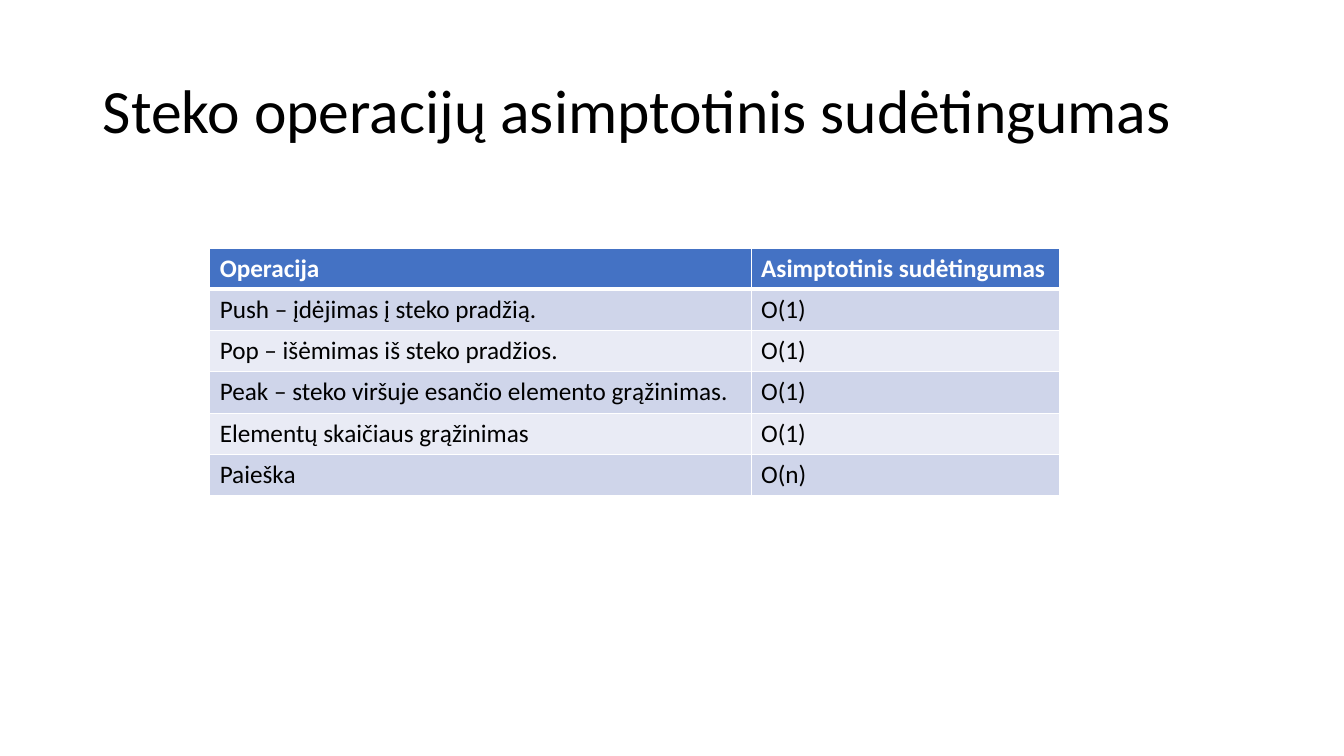
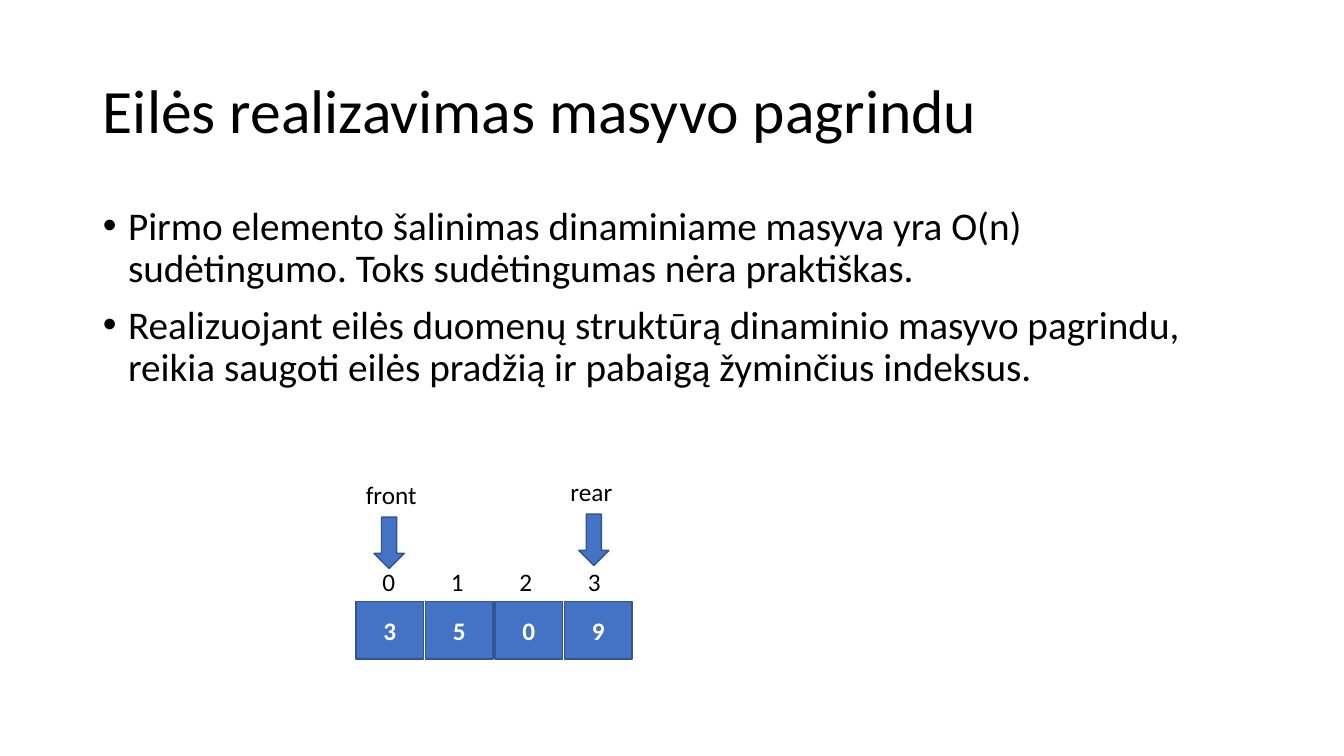
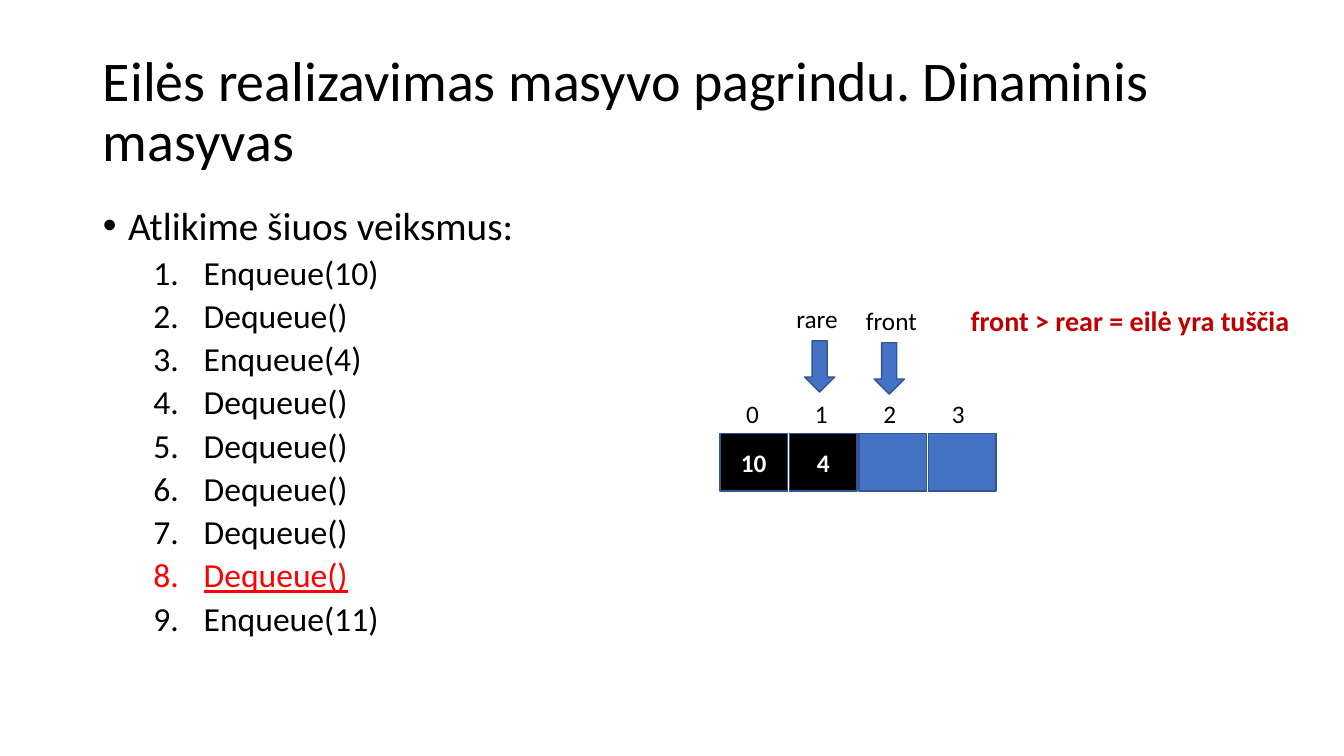
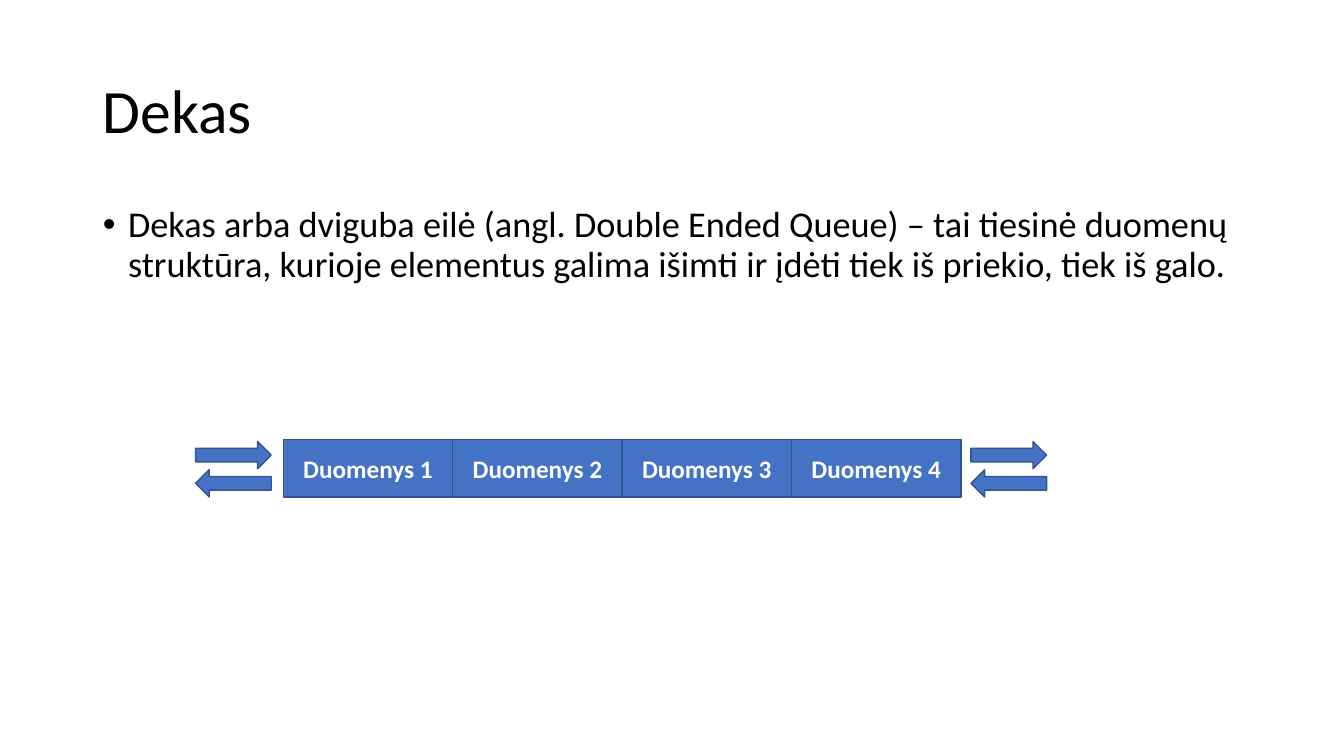
from lxml import etree
from pptx import Presentation
from pptx import util as u
from pptx.dml.color import RGBColor
from pptx.enum import shapes, text
from pptx.oxml import ns

SHAPE = shapes.MSO_SHAPE
ALIGN = text.PP_ALIGN


def color(value):
    return RGBColor.from_string(value)


def box(*lengths):
    return [u.Inches(length) for length in lengths]


class Deck:
    FONT = "Calibri"
    INK, PAPER, BLUE, EDGE = "000000", "FFFFFF", "4472C4", "325491"
    BANDS = "E9EBF5", "CFD5EA"
    RED, ALERT = "FF0000", "C00000"
    SLOT_HEIGHT = 0.57

    def __init__(self):
        self.prs = Presentation()
        self.prs.slide_width, self.prs.slide_height = box(13.33, 7.5)
        self.slide = None

    def new_slide(self, heading, size=44, layout=1):
        self.slide = self.prs.slides.add_slide(self.prs.slide_layouts[layout])
        frame = self.place(self.slide.shapes.title, 0.92, 0.4, 11.5, 1.45)
        frame.vertical_anchor = text.MSO_ANCHOR.MIDDLE
        paragraph = frame.paragraphs[0]
        paragraph.alignment = ALIGN.LEFT
        paragraph.line_spacing = 0.9
        self.run(paragraph, heading, size)

    def place(self, holder, left, top, width, height):
        holder.left, holder.top, holder.width, holder.height = box(left, top, width, height)
        holder.text_frame.auto_size = text.MSO_AUTO_SIZE.NONE
        return holder.text_frame

    def run(self, paragraph, words, size=18, ink=INK, bold=False, underline=False):
        run = paragraph.add_run()
        run.text = words
        font = run.font
        font.name, font.size, font.bold = self.FONT, u.Pt(size), bold
        font.underline = underline
        font.color.rgb = color(ink)

    def body(self, points, height, size=28, width=11.5, steps=(), marked=None):
        frame = self.place(self.slide.placeholders[1], 0.92, 2, width, height)
        frame.vertical_anchor = text.MSO_ANCHOR.TOP
        for number, point in enumerate(points):
            paragraph = frame.add_paragraph() if number else frame.paragraphs[0]
            self.list_format(paragraph, 0.25, 0.25, "buChar", "char", "•")
            paragraph.space_before = u.Pt(10 if number else 0)
            self.run(paragraph, point, size)
        for number, step in enumerate(steps, 1):
            paragraph = frame.add_paragraph()
            paragraph.level = 1
            self.list_format(paragraph, 1, 0.5, "buAutoNum", "type", "arabicPeriod")
            paragraph.space_before = u.Pt(5)
            current = number == marked
            self.run(paragraph, step, 24, self.RED if current else self.INK, underline=current)

    def list_format(self, paragraph, margin, hanging, tag, key, value):
        props = paragraph._p.get_or_add_pPr()
        props.set("marL", str(u.Inches(margin)))
        props.set("indent", str(-u.Inches(hanging)))
        etree.SubElement(props, ns.qn("a:" + tag)).set(key, value)
        paragraph.alignment = ALIGN.LEFT
        paragraph.line_spacing = 0.9

    def label(self, words, left, top, width, height=0.4, align=ALIGN.LEFT, **style):
        frame = self.slide.shapes.add_textbox(*box(left, top, width, height)).text_frame
        frame.word_wrap = True
        frame.paragraphs[0].alignment = align
        self.run(frame.paragraphs[0], words, **style)

    def shape(self, kind, left, top, width, height, words="", fill=BLUE, rotation=0):
        shape = self.slide.shapes.add_shape(kind, *box(left, top, width, height))
        shape.shadow.inherit = False
        shape.rotation = rotation
        shape.fill.solid()
        shape.fill.fore_color.rgb = color(fill)
        shape.line.color.rgb = color(self.EDGE)
        shape.line.width = u.Pt(1)
        if words:
            shape.text_frame.vertical_anchor = text.MSO_ANCHOR.MIDDLE
            paragraph = shape.text_frame.paragraphs[0]
            paragraph.alignment = ALIGN.CENTER
            self.run(paragraph, words, ink=self.PAPER, bold=True)

    def slots(self, values, left, top, width, pitch, removed=0):
        for index, value in enumerate(values):
            fill = self.INK if index < removed else self.BLUE
            self.shape(SHAPE.RECTANGLE, left + index * pitch, top, width,
                       self.SLOT_HEIGHT, value, fill)

    def array(self, values, left, top, removed=0):
        self.slots(values, left, top, 0.67, 0.69, removed)
        for index in range(len(values)):
            self.label(str(index), left - 0.01 + index * 0.68, top - 0.4, 0.67,
                       align=ALIGN.CENTER)

    def pointer(self, words, left, top):
        self.shape(SHAPE.DOWN_ARROW, left + 0.18, top + 0.42, 0.3, 0.51)
        self.label(words, left, top, 0.72)

    def in_out_arrows(self, left, top):
        for offset, rotation in ((0, 0), (0.28, 180)):
            self.shape(SHAPE.RIGHT_ARROW, left, top + offset, 0.75, 0.27, rotation=rotation)

    def table(self, rows, left, top, widths, row_height):
        grid = self.slide.shapes.add_table(
            len(rows), len(widths),
            *box(left, top, sum(widths), row_height * len(rows))).table
        for column, width in zip(grid.columns, widths):
            column.width = u.Inches(width)
        for r, row in enumerate(rows):
            for c, words in enumerate(row):
                cell = grid.cell(r, c)
                self.borders(cell, top=3 if r == 1 else 1, bottom=1 if r else 3)
                cell.fill.solid()
                cell.fill.fore_color.rgb = color(self.BANDS[r % 2] if r else self.BLUE)
                self.run(cell.text_frame.paragraphs[0], words,
                         ink=self.INK if r else self.PAPER, bold=r == 0)

    def borders(self, cell, top, bottom):
        props = cell._tc.get_or_add_tcPr()
        for side, width in (("L", 1), ("R", 1), ("T", top), ("B", bottom)):
            line = etree.SubElement(props, ns.qn("a:ln" + side), w=str(u.Pt(width)))
            fill = etree.SubElement(line, ns.qn("a:solidFill"))
            etree.SubElement(fill, ns.qn("a:srgbClr"), val=self.PAPER)


def main():
    deck = Deck()

    deck.new_slide("Steko operacijų asimptotinis sudėtingumas", layout=5)
    deck.table([
        ("Operacija", "Asimptotinis sudėtingumas"),
        ("Push – įdėjimas į steko pradžią.", "O(1)"),
        ("Pop – išėmimas iš steko pradžios.", "O(1)"),
        ("Peak – steko viršuje esančio elemento grąžinimas.", "O(1)"),
        ("Elementų skaičiaus grąžinimas", "O(1)"),
        ("Paieška", "O(n)"),
    ], 2.08, 2.46, (5.37, 3.06), 0.41)

    deck.new_slide("Eilės realizavimas masyvo pagrindu")
    deck.body([
        "Pirmo elemento šalinimas dinaminiame masyva yra O(n) sudėtingumo. "
        "Toks sudėtingumas nėra praktiškas.",
        "Realizuojant eilės duomenų struktūrą dinaminio masyvo pagrindu, "
        "reikia saugoti eilės pradžią ir pabaigą žyminčius indeksus.",
    ], 2.12)
    deck.array(["3", "5", "0", "9"], 3.53, 5.97)
    deck.pointer("front", 3.53, 4.71)
    deck.pointer("rear", 5.56, 4.68)

    deck.new_slide("Eilės realizavimas masyvo pagrindu. Dinaminis masyvas", 40)
    deck.body(
        ["Atlikime šiuos veiksmus:"], 4.9, width=5.75, marked=8,
        steps=["Enqueue(10)", "Dequeue()", "Enqueue(4)", *["Dequeue()"] * 5, "Enqueue(11)"])
    deck.array(["10", "4", "", ""], 7.14, 4.3, removed=2)
    deck.pointer("front", 8.49, 2.98)
    deck.pointer("rare", 7.8, 2.96)
    deck.label("front > rear = eilė yra tuščia", 9.53, 2.96, 3.53, 0.44,
               size=20, ink=deck.ALERT, bold=True)

    deck.new_slide("Dekas")
    deck.body([
        "Dekas arba dviguba eilė (angl. Double Ended Queue) – tai tiesinė duomenų "
        "struktūra, kurioje elementus galima išimti ir įdėti tiek iš priekio, tiek iš galo.",
    ], 1.14, size=25.9)
    deck.slots([f"Duomenys {number}" for number in range(1, 5)], 2.81, 4.36, 1.68, 1.68)
    for left in (9.63, 1.94):
        deck.in_out_arrows(left, 4.38)

    deck.prs.save("out.pptx")


if __name__ == "__main__":
    main()
